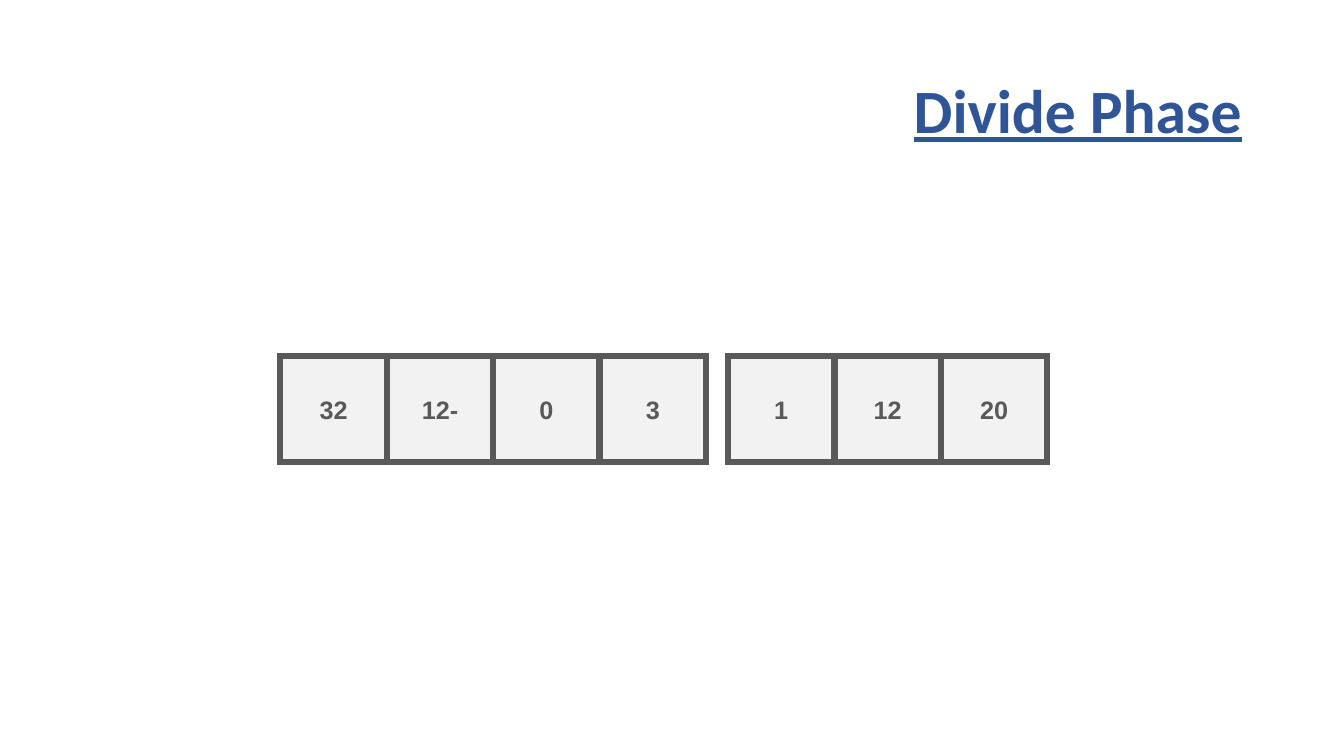
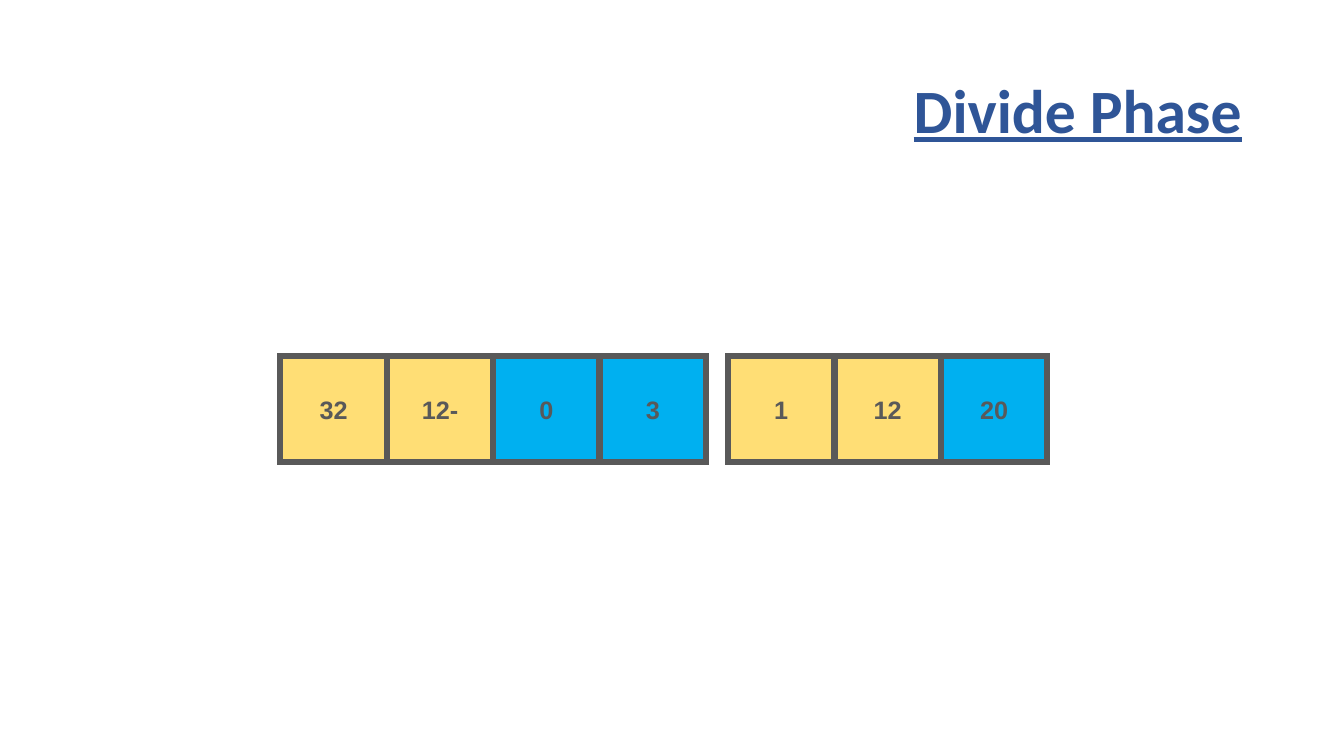
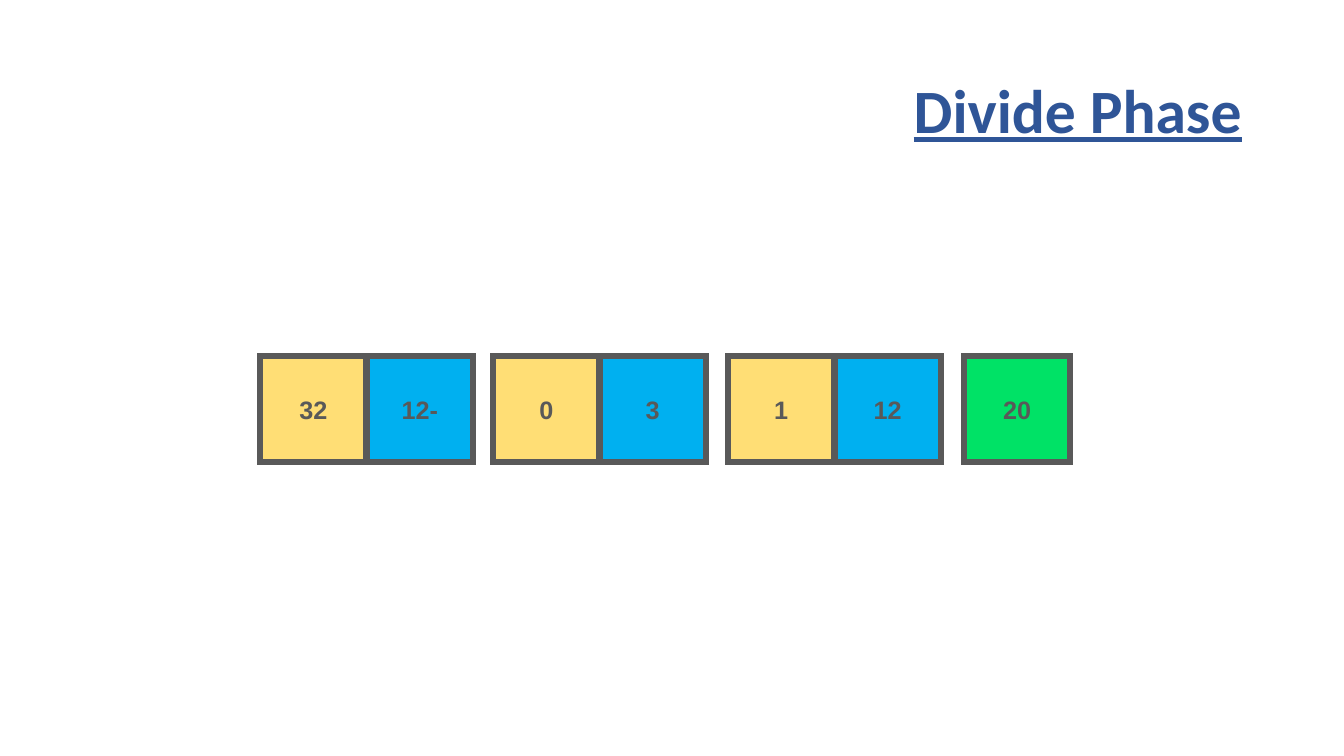
import dataclasses

import lxml.etree
import pptx
import pptx.dml.color
import pptx.enum.shapes
import pptx.enum.text
import pptx.oxml.ns
import pptx.presentation
import pptx.slide
import pptx.text.text
import pptx.util

TITLE = "Divide Phase"
FONT = "Calibri"
DIGIT_FONT = "Arial"  # right-to-left digits use the complex-script font
TITLE_BLUE = "2F5597"
GREY = "595959"
PALE = "F2F2F2"
YELLOW = "FFDE75"
BLUE = "00B0F0"
GREEN = "00E266"

CELL_SIDE = 76 / 72
CELL_TOP = 3.53
TITLE_ONLY_LAYOUT = 5


@dataclasses.dataclass(frozen=True)
class Cell:
    """One array element and its fill."""
    value: str
    fill: str


@dataclasses.dataclass(frozen=True)
class Subarray:
    """Adjoining cells, starting at a left edge in inches."""
    left: float
    cells: tuple[Cell, ...]


def colour(code: str) -> pptx.dml.color.RGBColor:
    """Turn a hex string into a colour."""
    return pptx.dml.color.RGBColor.from_string(code)


def cells(values: str, *fills: str) -> tuple[Cell, ...]:
    """Pair space-separated values with their fills."""
    return tuple(Cell(value, fill) for value, fill in zip(values.split(), fills, strict=True))


def add_rtl_run(
    paragraph: pptx.text.text._Paragraph, text: str, size: int, ink: str,
    align: pptx.enum.text.PP_ALIGN,
) -> pptx.text.text.Font:
    """Add a bold run to a right-to-left paragraph and return its font."""
    paragraph.alignment = align
    paragraph._p.get_or_add_pPr().set("rtl", "1")
    run = paragraph.add_run()
    run.text = text
    run.font.name = FONT
    run.font.size = pptx.util.Pt(size)
    run.font.bold = True
    run.font.color.rgb = colour(ink)
    script = lxml.etree.SubElement(run._r.get_or_add_rPr(), pptx.oxml.ns.qn("a:cs"))
    script.set("typeface", DIGIT_FONT)
    return run.font


def add_title(slide: pptx.slide.Slide) -> None:
    """Place and format the shared title."""
    title = slide.shapes.title
    title.left, title.top = pptx.util.Inches(0.92), pptx.util.Inches(0.4)
    title.width, title.height = pptx.util.Inches(11.5), pptx.util.Inches(1.45)
    title.text_frame.vertical_anchor = pptx.enum.text.MSO_ANCHOR.MIDDLE
    heading = title.text_frame.paragraphs[0]
    heading.line_spacing = 0.9
    font = add_rtl_run(heading, TITLE, 44, TITLE_BLUE, pptx.enum.text.PP_ALIGN.RIGHT)
    font.underline = True


def add_cell(slide: pptx.slide.Slide, cell: Cell, left: float) -> None:
    """Draw one square array cell."""
    square = slide.shapes.add_shape(
        pptx.enum.shapes.MSO_SHAPE.RECTANGLE,
        pptx.util.Inches(left), pptx.util.Inches(CELL_TOP),
        pptx.util.Inches(CELL_SIDE), pptx.util.Inches(CELL_SIDE),
    )
    square.shadow.inherit = False
    square.fill.solid()
    square.fill.fore_color.rgb = colour(cell.fill)
    square.line.color.rgb = colour(GREY)
    square.line.width = pptx.util.Pt(4.5)
    corner = lxml.etree.SubElement(square.line._get_or_add_ln(), pptx.oxml.ns.qn("a:miter"))
    corner.set("lim", "800000")
    square.text_frame.vertical_anchor = pptx.enum.text.MSO_ANCHOR.MIDDLE
    add_rtl_run(square.text_frame.paragraphs[0], cell.value, 18, GREY,
                pptx.enum.text.PP_ALIGN.CENTER)


def add_step(deck: pptx.presentation.Presentation, step: tuple[Subarray, ...]) -> None:
    """Add a slide showing one step of the division."""
    slide = deck.slides.add_slide(deck.slide_layouts[TITLE_ONLY_LAYOUT])
    add_title(slide)
    for subarray in step:
        for column, cell in enumerate(subarray.cells):
            add_cell(slide, cell, subarray.left + column * CELL_SIDE)


STEPS = (
    (
        Subarray(2.78, cells("32 -12 0 3", PALE, PALE, PALE, PALE)),
        Subarray(7.22, cells("1 12 20", PALE, PALE, PALE)),
    ),
    (
        Subarray(2.78, cells("32 -12 0 3", YELLOW, YELLOW, BLUE, BLUE)),
        Subarray(7.22, cells("1 12 20", YELLOW, YELLOW, BLUE)),
    ),
    (
        Subarray(2.58, cells("32 -12", YELLOW, BLUE)),
        Subarray(4.89, cells("0 3", YELLOW, BLUE)),
        Subarray(7.22, cells("1 12", YELLOW, BLUE)),
        Subarray(9.56, cells("20", GREEN)),
    ),
)


def main() -> None:
    """Build and save the deck."""
    deck = pptx.Presentation()
    deck.slide_width = pptx.util.Inches(13.33)
    deck.slide_height = pptx.util.Inches(7.5)
    for step in STEPS:
        add_step(deck, step)
    deck.save("out.pptx")


main()
